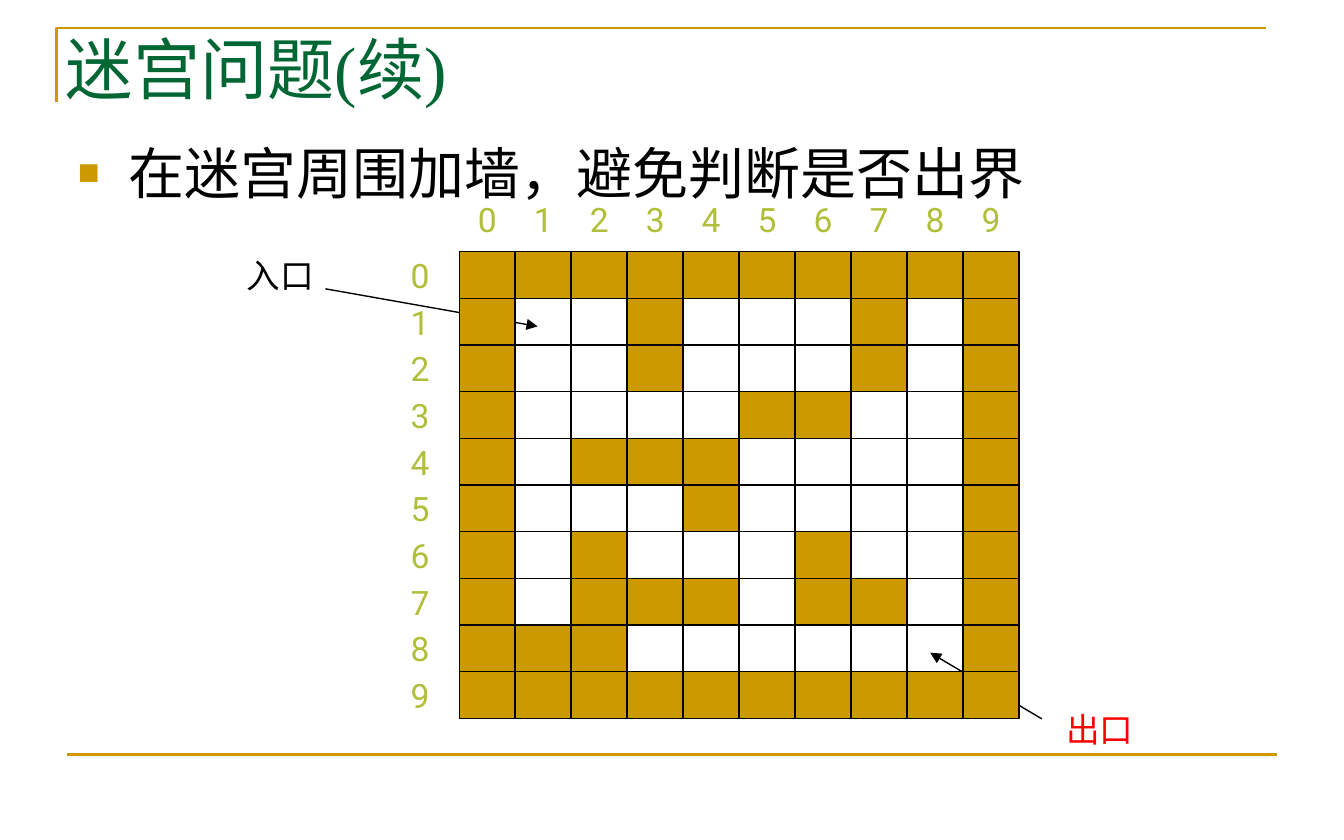
"""Build the slide showing a maze enclosed by walls."""
from dataclasses import dataclass

from lxml import etree
from pptx import Presentation
from pptx import util as u
from pptx.dml.color import RGBColor
from pptx.enum import shapes, text
from pptx.oxml import ns

GOLD = RGBColor(0xCC, 0x99, 0x00)
GREEN = RGBColor(0x00, 0x66, 0x33)
LIME = RGBColor(0xAF, 0xBF, 0x39)
BLACK = RGBColor(0, 0, 0)
RED = RGBColor(0xFF, 0, 0)

MAZE = (
    "##########",
    "#..#...#.#",
    "#..#...#.#",
    "#....##..#",
    "#.###....#",
    "#...#....#",
    "#.#...#..#",
    "#.###.##.#",
    "###......#",
    "##########",
)
SIZE = len(MAZE)
LEFT, TOP = 8.68, 4.76
WIDE, HIGH = 10.58 / SIZE, 8.82 / SIZE


@dataclass
class Cell:
    row: int
    col: int

    @property
    def wall(self) -> bool:
        return MAZE[self.row][self.col] == "#"

    @property
    def edge(self) -> bool:
        return self.row in (0, SIZE - 1) or self.col in (0, SIZE - 1)


@dataclass
class Label:
    word: str
    left: float
    top: float
    wide: float = WIDE
    color: RGBColor = LIME


@dataclass
class Line:
    start: tuple[float, float]
    end: tuple[float, float]
    color: RGBColor = BLACK
    width: float = 0.75
    arrow: bool = True


def write(par, word: str, font: str, size: float, color: RGBColor) -> None:
    run = par.add_run()
    run.text = word
    run.font.name = font
    run.font.size = u.Pt(size)
    run.font.color.rgb = color


def place(shape, left: float, top: float, wide: float, high: float) -> None:
    shape.left, shape.top = u.Cm(left), u.Cm(top)
    shape.width, shape.height = u.Cm(wide), u.Cm(high)


def draw_cell(slide, cell: Cell) -> None:
    box = slide.shapes.add_shape(
        shapes.MSO_SHAPE.RECTANGLE,
        u.Cm(LEFT + cell.col * WIDE), u.Cm(TOP + cell.row * HIGH),
        u.Cm(WIDE), u.Cm(HIGH))
    box.shadow.inherit = False
    if cell.wall:
        box.fill.solid()
        box.fill.fore_color.rgb = GOLD
    else:
        box.fill.background()
    box.line.color.rgb = BLACK
    box.line.width = u.Pt(0.75)


def draw_label(slide, label: Label) -> None:
    box = slide.shapes.add_textbox(
        u.Cm(label.left), u.Cm(label.top), u.Cm(label.wide), u.Cm(HIGH))
    frame = box.text_frame
    frame.word_wrap = False
    frame.vertical_anchor = text.MSO_ANCHOR.MIDDLE
    par = frame.paragraphs[0]
    par.alignment = text.PP_ALIGN.CENTER
    write(par, label.word, "Roboto", 18, label.color)


def draw_line(slide, line: Line) -> None:
    ends = [u.Cm(n) for n in line.start + line.end]
    link = slide.shapes.add_connector(shapes.MSO_CONNECTOR.STRAIGHT, *ends)
    link.line.color.rgb = line.color
    link.line.width = u.Pt(line.width)
    if line.arrow:
        stroke = link.line._get_or_add_ln()
        etree.SubElement(stroke, ns.qn("a:tailEnd"), type="triangle")
    etree.SubElement(link._element.spPr, ns.qn("a:effectLst"))


def draw_frame(slide) -> None:
    pen = slide.shapes.build_freeform(u.Cm(1.07), u.Cm(1.93))
    pen.add_line_segments(
        [(u.Cm(1.07), u.Cm(0.53)), (u.Cm(23.93), u.Cm(0.53))], close=False)
    frame = pen.convert_to_shape()
    frame.shadow.inherit = False
    frame.fill.background()
    frame.line.color.rgb = GOLD
    frame.line.width = u.Pt(1.5)


def add_bullet(par) -> None:
    props = par._p.get_or_add_pPr()
    props.set("marL", str(u.Cm(0.95)))
    props.set("indent", str(u.Cm(-0.95)))
    tint = etree.SubElement(props, ns.qn("a:buClr"))
    etree.SubElement(tint, ns.qn("a:srgbClr"), val=str(GOLD))
    etree.SubElement(props, ns.qn("a:buSzPct"), val="65000")
    etree.SubElement(props, ns.qn("a:buFont"), typeface="Arial")
    etree.SubElement(props, ns.qn("a:buChar"), char="■")


def fill_text(slide) -> None:
    title, body = slide.shapes.title, slide.placeholders[1]
    place(title, 0.99, 0.66, 22.86, 1.5)
    place(body, 1.22, 2.49, 21.39, 1.57)
    for shape in (title, body):
        shape.text_frame.auto_size = text.MSO_AUTO_SIZE.NONE
        shape.text_frame.word_wrap = True
    title.text_frame.vertical_anchor = text.MSO_ANCHOR.BOTTOM
    head = title.text_frame.paragraphs[0]
    head.alignment = text.PP_ALIGN.LEFT
    write(head, "迷宫问题(续)", "Times New Roman", 36, GREEN)
    item = body.text_frame.paragraphs[0]
    add_bullet(item)
    item.space_before = u.Pt(0)
    write(item, "在迷宫周围加墙，避免判断是否出界", "Arial", 30, BLACK)


def main() -> None:
    deck = Presentation()
    deck.slide_width, deck.slide_height = u.Cm(25.4), u.Cm(15.88)
    slide = deck.slides.add_slide(deck.slide_layouts[1])
    fill_text(slide)
    draw_frame(slide)
    draw_line(slide, Line((1.27, 14.27), (24.13, 14.27), GOLD, 1.5, False))

    cells = [Cell(row, col) for row in range(SIZE) for col in range(SIZE)]
    for cell in cells:
        if not cell.edge:
            draw_cell(slide, cell)
    draw_line(slide, Line((6.15, 5.46), (10.16, 6.17)))
    draw_line(slide, Line((19.69, 13.59), (17.58, 12.34)))
    for cell in cells:
        if cell.edge:
            draw_cell(slide, cell)

    draw_label(slide, Label("入口", 3.81, TOP, 2.97, BLACK))
    draw_label(slide, Label("出口", 19.3, 13.34, 2.97, RED))
    for num in range(SIZE):
        draw_label(slide, Label(str(num), LEFT + num * WIDE, 3.71))
        draw_label(slide, Label(str(num), 7.41, TOP + num * HIGH))
    deck.save("out.pptx")


if __name__ == "__main__":
    main()
